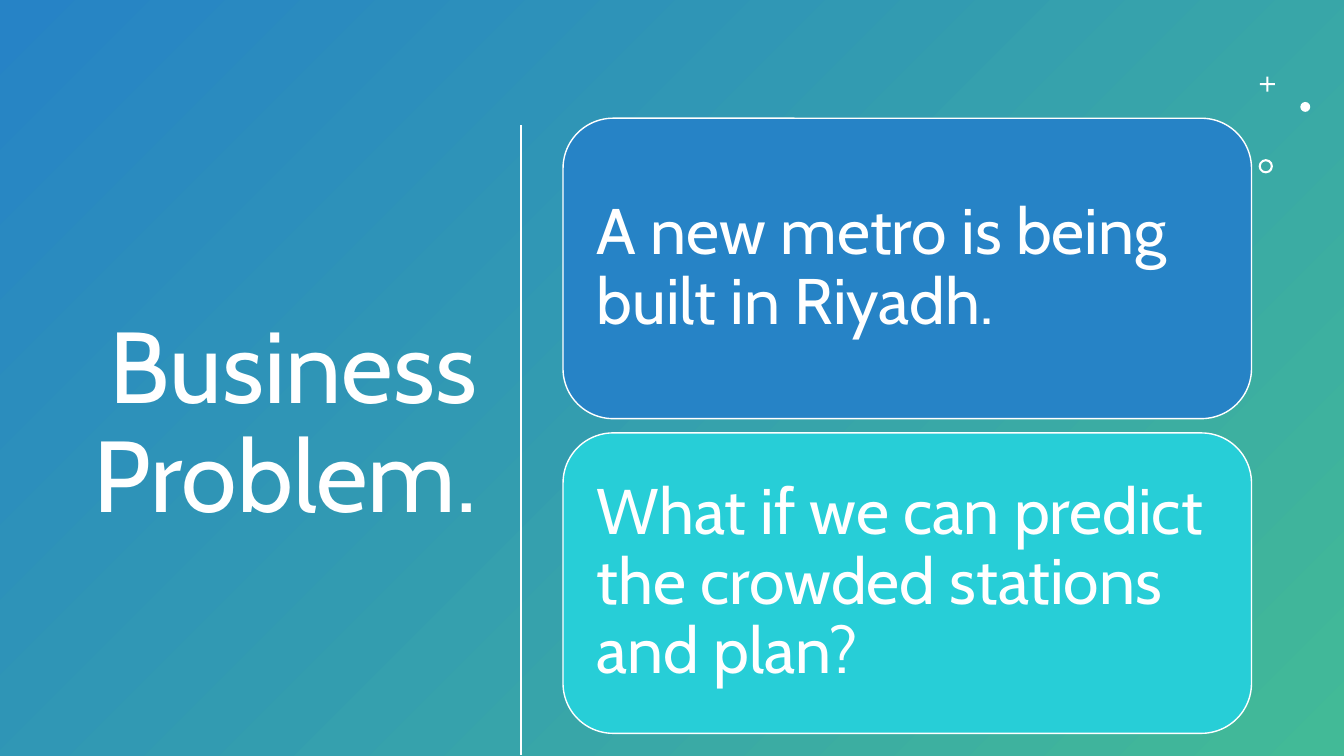
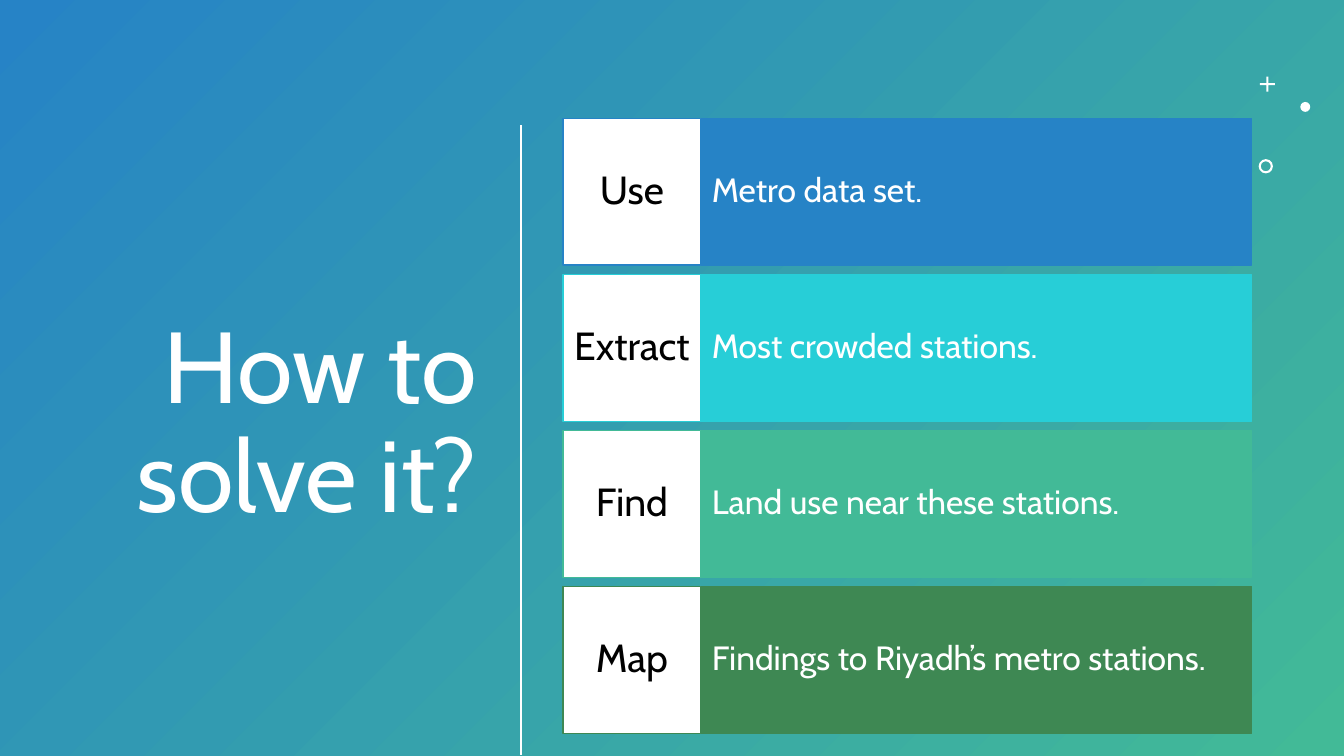
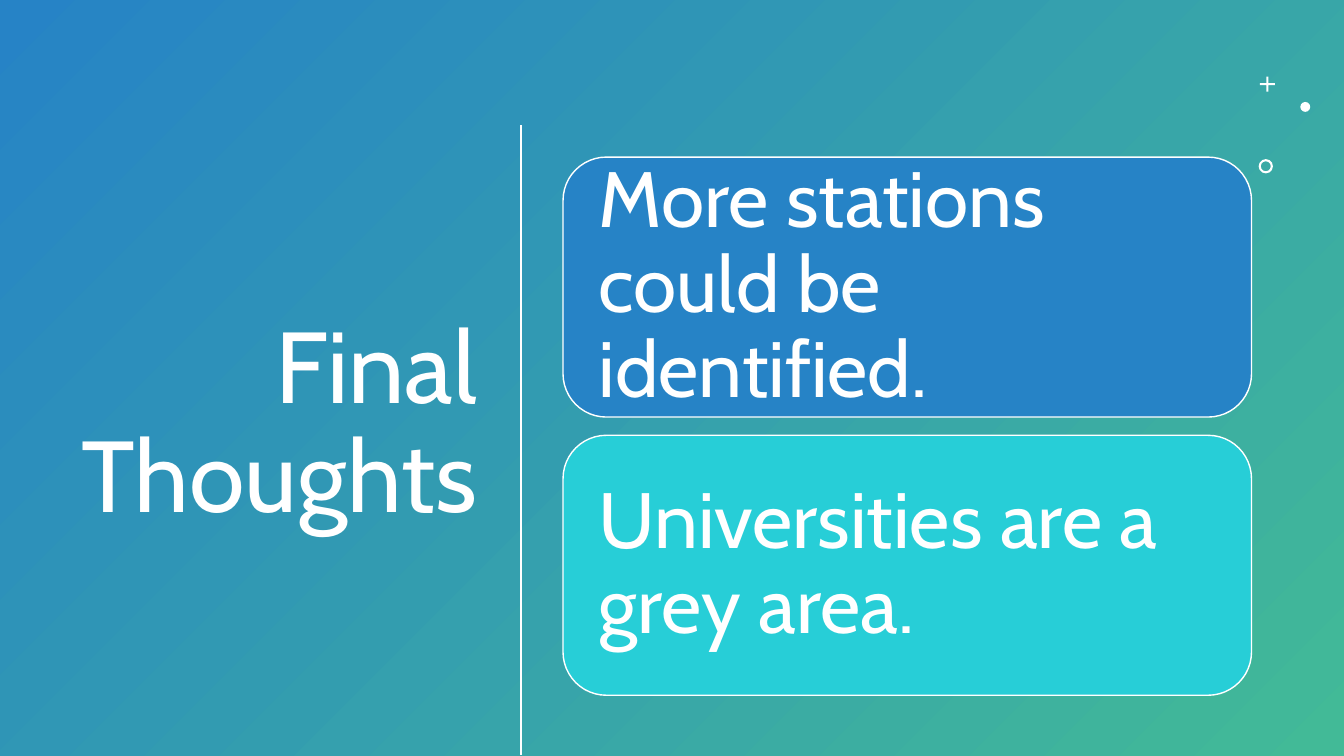
from collections import namedtuple

from lxml import etree
from pptx import Presentation
from pptx.dml.color import RGBColor
from pptx.enum.shapes import MSO_CONNECTOR, MSO_SHAPE
from pptx.enum.text import MSO_ANCHOR, MSO_AUTO_SIZE, PP_ALIGN
from pptx.oxml.ns import qn
from pptx.util import Cm, Pt

RECTANGLE = MSO_SHAPE.RECTANGLE
ROUNDED = MSO_SHAPE.ROUNDED_RECTANGLE
CROSS = MSO_SHAPE.CROSS
OVAL = MSO_SHAPE.OVAL
DONUT = MSO_SHAPE.DONUT
STRAIGHT = MSO_CONNECTOR.STRAIGHT
MIDDLE = MSO_ANCHOR.MIDDLE
NO_AUTOFIT = MSO_AUTO_SIZE.NONE
LEFT, CENTER, RIGHT = PP_ALIGN.LEFT, PP_ALIGN.CENTER, PP_ALIGN.RIGHT

FONT = "Cabin"
WHITE, BLACK = "FFFFFF", "000000"
BLUE, CYAN, TEAL, GREEN = "2683C6", "27CED7", "42BA97", "3E8853"
TITLE_ONLY = 5

Box = namedtuple("Box", "left top width height")
SLIDE = Box(0, 0, 33.87, 19.05)
TITLE = Box(1.32, 2.95, 10.95, 15.52)
CONTENT = Box(14.19, 2.98, 17.35, 15.5)
CLOSING = Box(14.19, 3.96, 17.35, 13.56)
DIVIDER = Box(13.13, 3.15, 0, 15.88)
PLUS = Box(31.75, 1.93, 0.38, 0.38)
DOT = Box(32.77, 2.57, 0.25, 0.25)
RING = Box(31.72, 4.01, 0.36, 0.36)
LABEL_WIDTH = 3.47


def color(hex_value):
    return RGBColor.from_string(hex_value)


def lengths(box):
    return [Cm(value) for value in box]


def stack(box, count, gap):
    height = (box.height - gap * (count - 1)) / count
    return [Box(box.left, box.top + i * (height + gap), box.width, height)
            for i in range(count)]


def add_block(slide, kind, box, fill, outline=None):
    block = slide.shapes.add_shape(kind, *lengths(box))
    block.shadow.inherit = False
    block.fill.solid()
    block.fill.fore_color.rgb = color(fill)
    if outline:
        block.line.color.rgb = color(outline)
        block.line.width = Pt(1)
    else:
        block.line.fill.background()
    return block


def write(holder, wording, size, ink, align=LEFT, inset=(0.25, 0.13)):
    frame = holder.text_frame
    frame.text = wording
    frame.word_wrap = True
    frame.auto_size = NO_AUTOFIT
    frame.vertical_anchor = MIDDLE
    frame.margin_left = frame.margin_right = Cm(inset[0])
    frame.margin_top = frame.margin_bottom = Cm(inset[1])
    paragraph = frame.paragraphs[0]
    paragraph.alignment = align
    paragraph.line_spacing = 0.9
    font = paragraph.runs[0].font
    font.name = FONT
    font.size = Pt(size)
    font.color.rgb = color(ink)


def add_backdrop(slide, box):
    backdrop = add_block(slide, RECTANGLE, box, BLUE)
    backdrop.fill.gradient()
    backdrop.fill.gradient_angle = 315
    for stop, position, tone in zip(backdrop.fill.gradient_stops, (0, 1), (BLUE, TEAL)):
        stop.position = position
        stop.color.rgb = color(tone)
    slide.shapes.title.element.addprevious(backdrop.element)


def add_title(slide, box, wording):
    title = slide.shapes.title
    title.left, title.top, title.width, title.height = lengths(box)
    write(title, wording, 72, WHITE, RIGHT)


def add_divider(slide, box):
    left, top, width, height = box
    divider = slide.shapes.add_connector(
        STRAIGHT, Cm(left), Cm(top), Cm(left + width), Cm(top + height))
    divider.line.color.rgb = color(WHITE)
    divider.line.width = Pt(2)
    etree.SubElement(divider.element.spPr, qn("a:effectLst"))


def add_ornaments(slide):
    add_block(slide, CROSS, PLUS, WHITE).adjustments[0] = 0.43
    add_block(slide, OVAL, DOT, WHITE)
    add_block(slide, DONUT, RING, WHITE).adjustments[0] = 0.15


def add_panels(slide, box, statements, size, gap, inset):
    panels = stack(box, len(statements), gap)
    for panel, statement, fill in zip(panels, statements, (BLUE, CYAN)):
        card = add_block(slide, ROUNDED, panel, fill, WHITE)
        write(card, statement, size, WHITE, inset=(inset, inset))


def add_steps(slide, box, steps):
    rows = stack(box, len(steps), 0.23)
    for row, (verb, detail), tone in zip(rows, steps, (BLUE, CYAN, TEAL, GREEN)):
        detail_box = row._replace(left=row.left + LABEL_WIDTH,
                                  width=row.width - LABEL_WIDTH)
        band = add_block(slide, RECTANGLE, detail_box, tone, tone)
        write(band, detail, 24, WHITE, inset=(0.28, 0.94))
        label = add_block(slide, RECTANGLE, row._replace(width=LABEL_WIDTH), WHITE, tone)
        write(label, verb, 28, BLACK, CENTER, (0.18, 0.36))


def add_topic(deck, wording):
    slide = deck.slides.add_slide(deck.slide_layouts[TITLE_ONLY])
    add_backdrop(slide, SLIDE)
    add_title(slide, TITLE, wording)
    add_ornaments(slide)
    add_divider(slide, DIVIDER)
    return slide


deck = Presentation()
deck.slide_width, deck.slide_height = Cm(SLIDE.width), Cm(SLIDE.height)

problem = add_topic(deck, "Business Problem.")
add_panels(problem, CONTENT, [
    "A new metro is being built in Riyadh.",
    "What if we can predict the crowded stations and plan?",
], size=46, gap=0.36, inset=0.48)

approach = add_topic(deck, "How to solve it?")
add_steps(approach, CONTENT, [
    ("Use", "Metro data set."),
    ("Extract", "Most crowded stations."),
    ("Find", "Land use near these stations."),
    ("Map", "Findings to Riyadh’s metro stations."),
])

closing = add_topic(deck, "Final Thoughts")
add_panels(closing, CLOSING, [
    "More stations could be identified.",
    "Universities are a grey area.",
], size=56, gap=0.46, inset=0.58)

deck.save("out.pptx")
